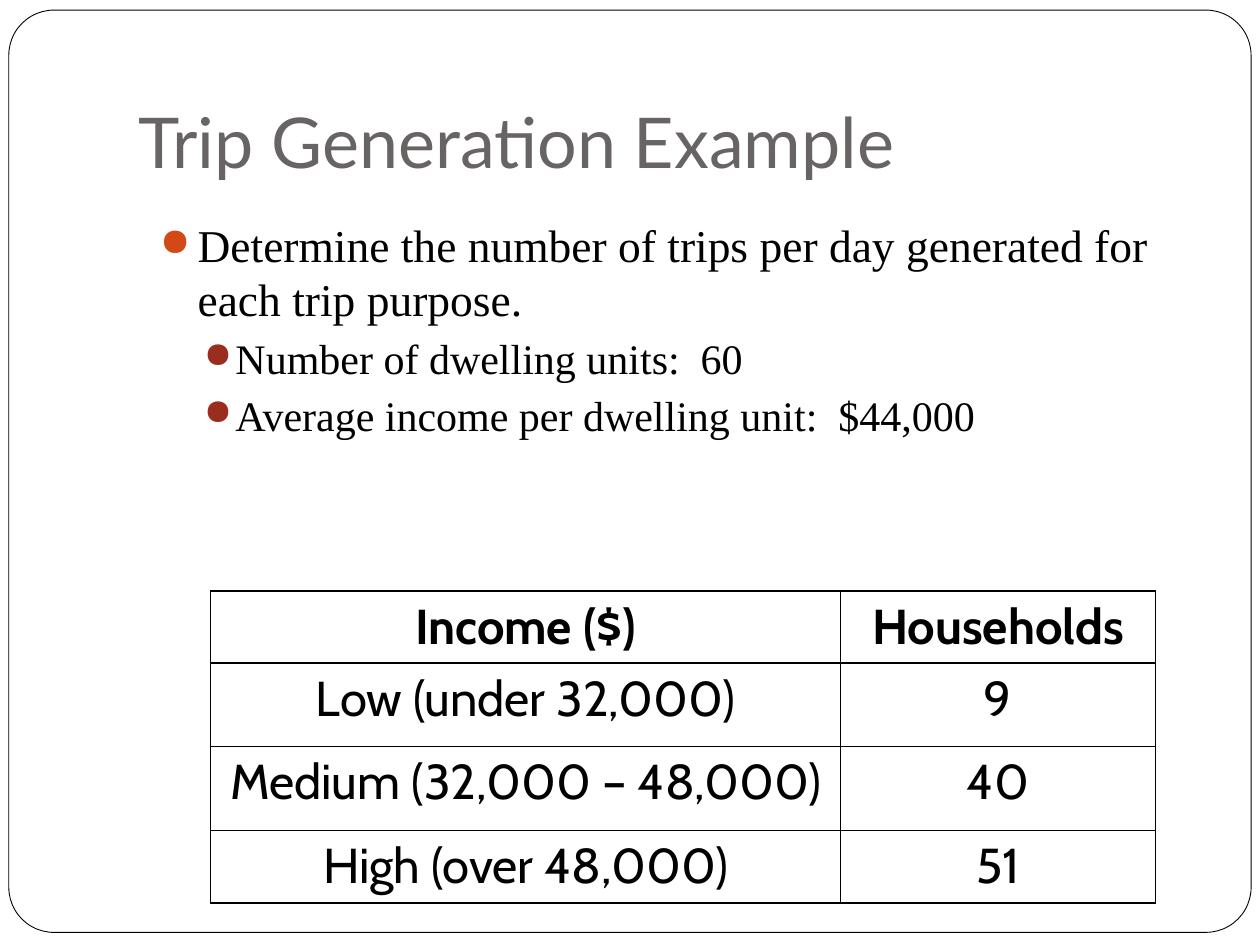
from lxml import etree
from pptx import Presentation
from pptx.dml.color import RGBColor
from pptx.enum.shapes import MSO_SHAPE
from pptx.enum.text import MSO_ANCHOR, MSO_AUTO_SIZE, PP_ALIGN
from pptx.oxml.ns import qn
from pptx.util import Inches, Pt

ROUNDED = MSO_SHAPE.ROUNDED_RECTANGLE
TOP, BOTTOM = MSO_ANCHOR.TOP, MSO_ANCHOR.BOTTOM
NO_AUTOFIT = MSO_AUTO_SIZE.NONE
LEFT, CENTER = PP_ALIGN.LEFT, PP_ALIGN.CENTER

BLACK = RGBColor(0x00, 0x00, 0x00)
WHITE = RGBColor(0xFF, 0xFF, 0xFF)
GRAY = RGBColor(0x69, 0x64, 0x64)
ORANGE = RGBColor(0xD3, 0x48, 0x17)
RED = RGBColor(0x9B, 0x2D, 0x1F)

TITLE_ONLY = 5
COLUMNS, ROWS = 40, 30

# Per outline level: text size, left indent, hanging indent, space before, bullet colour
LEVELS = [(26, 0.3, -0.3, 5.8, ORANGE), (24, 0.6, -0.25, 3.7, RED)]

PURPOSE = [
    (0, "Determine the number of trips per day generated for each trip purpose."),
    (1, "Number of dwelling units:  60"),
    (1, "Average income per dwelling unit:  $44,000"),
]
HOUSEHOLDS = [
    ("Income ($)", "Households"),
    ("Low (under 32,000)", "9"),
    ("Medium (32,000 – 48,000)", "40"),
    ("High (over 48,000)", "51"),
]
COLUMN_WIDTHS = [20, 10]
ROW_HEIGHTS = [2.28, 2.64, 2.68, 2.32]
COLUMN_RULES = [1.08, 0.45, 1.08]
ROW_RULES = [1.08, 1.47, 0.45, 0.45, 1.08]


def write(paragraph, text, font, size, color=BLACK, bold=False, align=LEFT):
    paragraph.alignment = align
    run = paragraph.add_run()
    run.text = text
    run.font.name = font
    run.font.size = Pt(size)
    run.font.bold = bold
    run.font.color.rgb = color


def add_bullet(paragraph, left, hanging, color):
    properties = paragraph._p.get_or_add_pPr()
    properties.set("marL", str(Inches(left)))
    properties.set("indent", str(Inches(hanging)))
    bullet_color = etree.SubElement(properties, qn("a:buClr"))
    etree.SubElement(bullet_color, qn("a:srgbClr"), val=str(color))
    etree.SubElement(properties, qn("a:buSzPct"), val="85000")
    etree.SubElement(properties, qn("a:buChar"), char="●")


def add_border(cell, side, width):
    line = etree.SubElement(cell._tc.get_or_add_tcPr(), qn(f"a:ln{side}"), w=str(Pt(width)))
    fill = etree.SubElement(line, qn("a:solidFill"))
    etree.SubElement(fill, qn("a:srgbClr"), val=str(BLACK))


class SlideBuilder:
    """Holds the fonts, the grid and the current slide."""

    title_font, body_font, table_font = "Lato", "Times New Roman", "Cabin"

    def __init__(self, presentation):
        self.column = presentation.slide_width / COLUMNS
        self.row = presentation.slide_height / ROWS
        self.slide = presentation.slides.add_slide(presentation.slide_layouts[TITLE_ONLY])

    def box(self, left, top, width, height):
        """Turn grid columns and rows into lengths."""
        return (round(left * self.column), round(top * self.row),
                round(width * self.column), round(height * self.row))

    def frame(self, *place):
        shape = self.slide.shapes.add_shape(ROUNDED, *self.box(*place))
        shape.adjustments[0] = 0.049
        shape.shadow.inherit = False
        shape.fill.solid()
        shape.fill.fore_color.rgb = WHITE
        shape.line.color.rgb = BLACK
        shape.line.width = Pt(0.5)
        self.slide.shapes.title.element.addprevious(shape.element)

    def title(self, text, *place):
        shape = self.slide.shapes.title
        shape.left, shape.top, shape.width, shape.height = self.box(*place)
        text_frame = shape.text_frame
        text_frame.auto_size = NO_AUTOFIT
        text_frame.vertical_anchor = BOTTOM
        text_frame.margin_bottom = Inches(0.1)
        write(text_frame.paragraphs[0], text, self.title_font, 40, GRAY)

    def outline(self, items, *place):
        text_frame = self.slide.shapes.add_textbox(*self.box(*place)).text_frame
        text_frame.word_wrap = True
        text_frame.vertical_anchor = TOP
        for index, (level, text) in enumerate(items):
            size, left, hanging, space, color = LEVELS[level]
            paragraph = text_frame.add_paragraph() if index else text_frame.paragraphs[0]
            paragraph.level = level
            add_bullet(paragraph, left, hanging, color)
            if index:
                paragraph.space_before = Pt(space)
            write(paragraph, text, self.body_font, size)

    def table(self, records, left, top):
        place = self.box(left, top, sum(COLUMN_WIDTHS), sum(ROW_HEIGHTS))
        table = self.slide.shapes.add_table(len(records), len(COLUMN_WIDTHS), *place).table
        table.first_row = table.horz_banding = False
        for column, width in zip(table.columns, COLUMN_WIDTHS):
            column.width = round(width * self.column)
        for row, height in zip(table.rows, ROW_HEIGHTS):
            row.height = round(height * self.row)
        for row_index, record in enumerate(records):
            for column_index, text in enumerate(record):
                cell = table.cell(row_index, column_index)
                write(cell.text_frame.paragraphs[0], text, self.table_font, 28,
                      bold=row_index == 0, align=CENTER)
                add_border(cell, "L", COLUMN_RULES[column_index])
                add_border(cell, "R", COLUMN_RULES[column_index + 1])
                add_border(cell, "T", ROW_RULES[row_index])
                add_border(cell, "B", ROW_RULES[row_index + 1])
                cell.fill.background()


def main():
    presentation = Presentation()
    presentation.slide_width, presentation.slide_height = Inches(10), Inches(7.5)
    builder = SlideBuilder(presentation)
    builder.frame(0.28, 0.32, 39.44, 29.28)
    builder.title("Trip Generation Example", 4, 1.2, 34, 5)
    builder.outline(PURPOSE, 4.68, 6.68, 34.32, 12.04)
    builder.table(HOUSEHOLDS, 6.68, 18.76)
    presentation.save("out.pptx")


if __name__ == "__main__":
    main()
